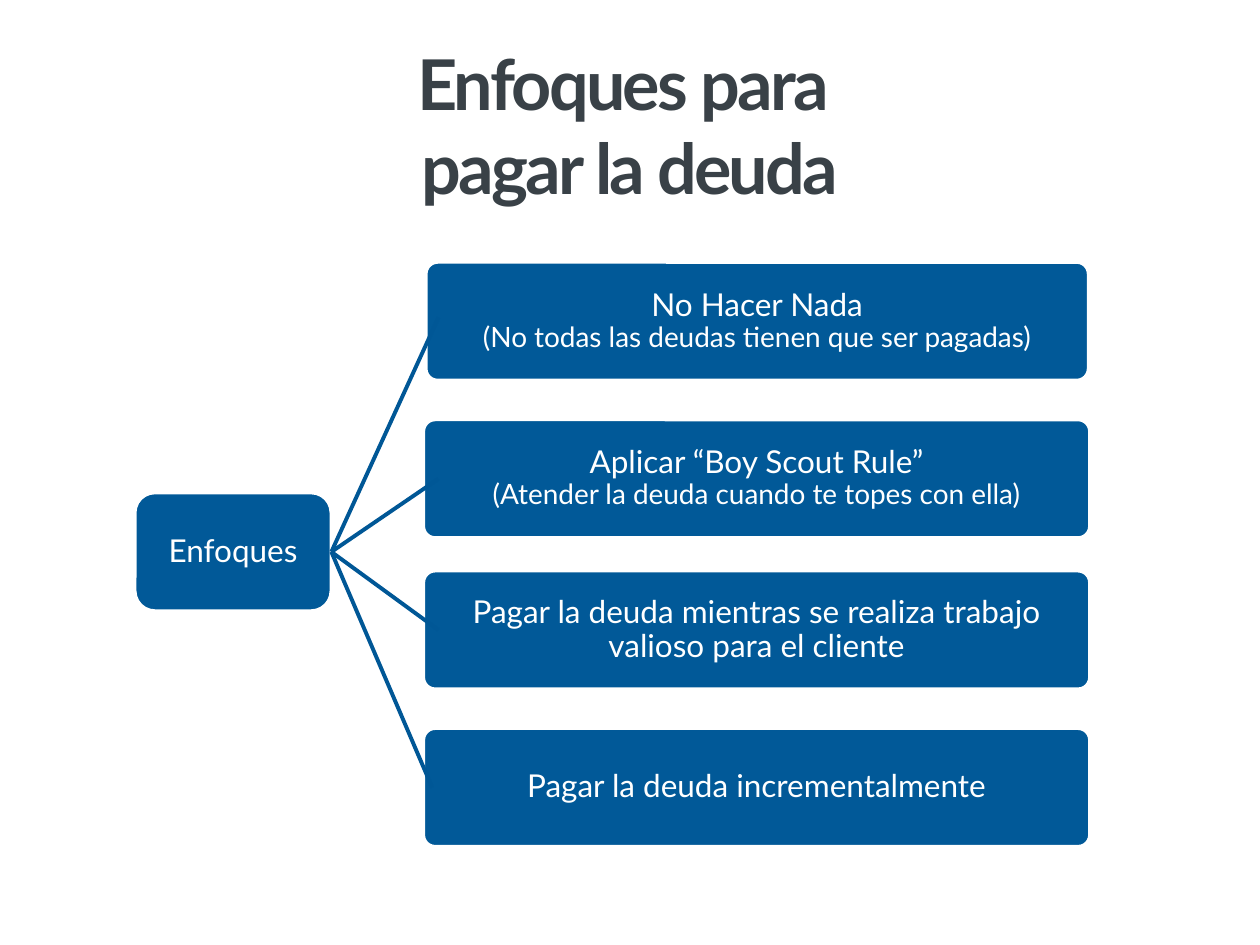
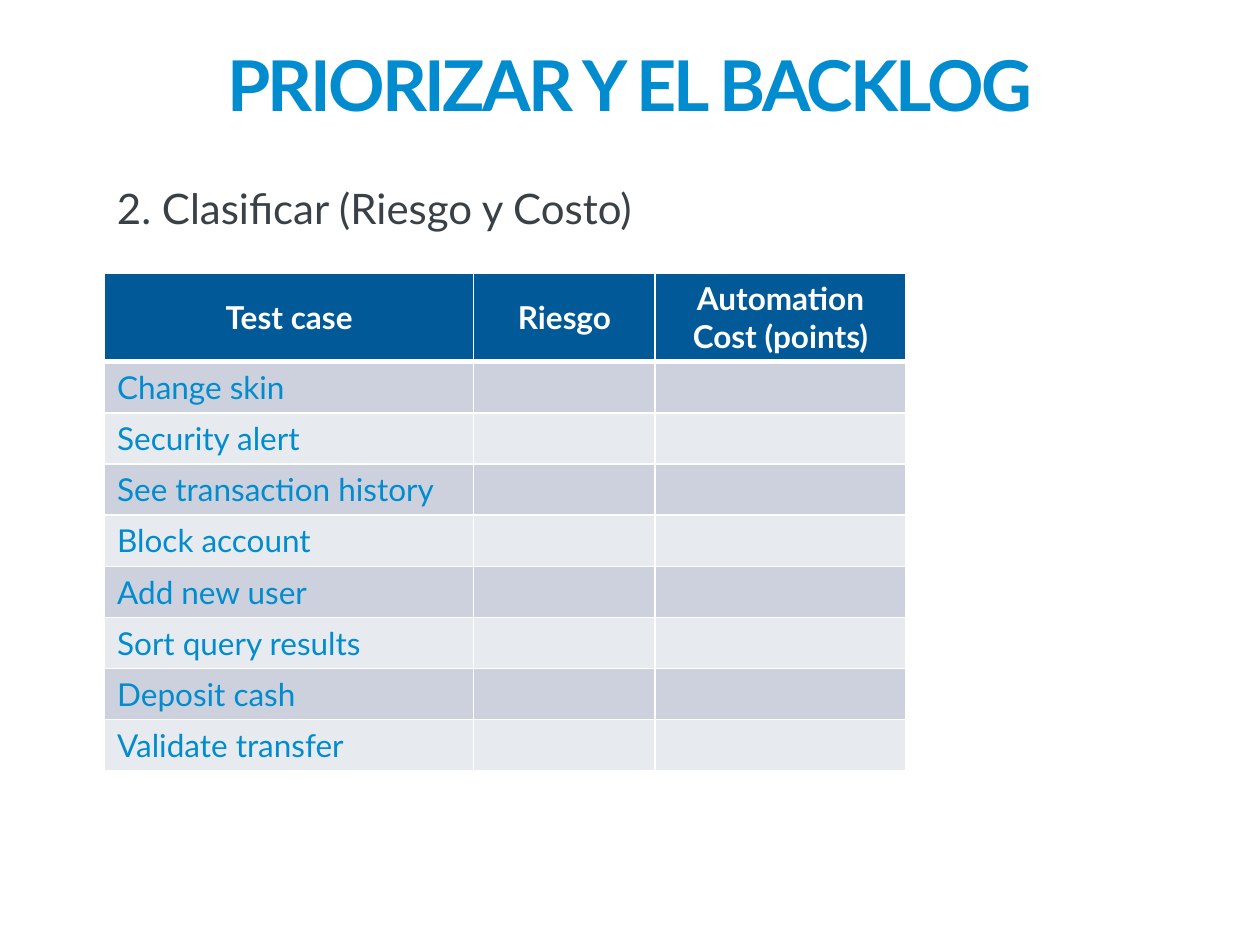
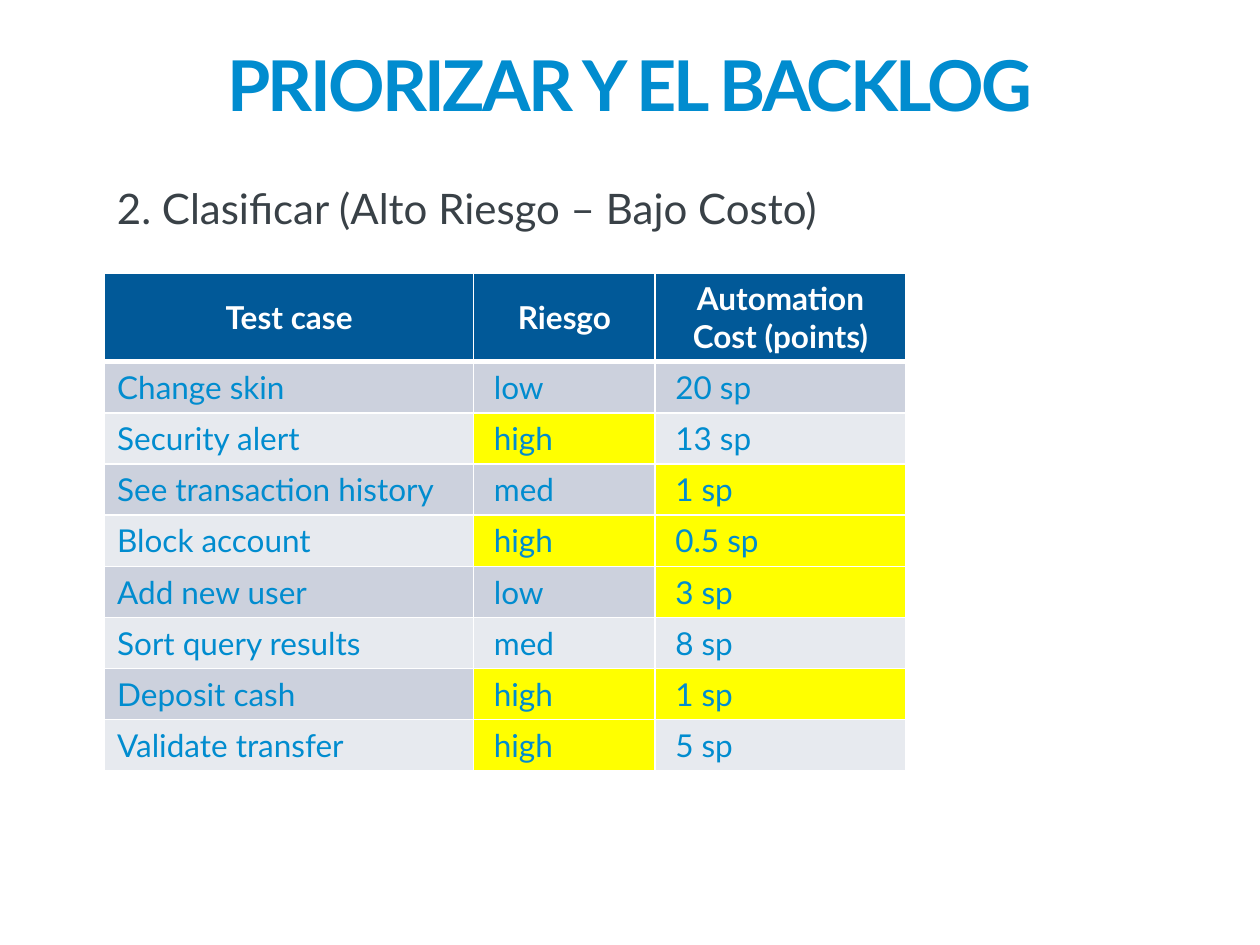
"""Build three slides on paying technical debt and ranking a test backlog."""
from lxml.etree import SubElement
from pptx import Presentation
from pptx.dml.color import RGBColor
from pptx.enum.shapes import MSO_CONNECTOR as Connector, MSO_SHAPE as Shape
from pptx.enum.text import MSO_ANCHOR as Anchor, PP_ALIGN as Align
from pptx.oxml import parse_xml
from pptx.oxml.ns import nsdecls, qn
from pptx.util import Inches, Pt

WHITE = RGBColor(0xFF, 0xFF, 0xFF)
NAVY = RGBColor(0x01, 0x59, 0x98)
LINK_BLUE = RGBColor(0x00, 0x57, 0x96)
SKY = RGBColor(0x01, 0x8C, 0xCF)
SLATE = RGBColor(0x39, 0x41, 0x47)
BANDS = (RGBColor(0xE7, 0xEA, 0xEF), RGBColor(0xCC, 0xD1, 0xDD))
YELLOW = RGBColor(0xFF, 0xFF, 0x00)

TITLE = {"size": Pt(40), "bold": True}
SUBTITLE = {"size": Pt(24)}
LABEL = {"size": Pt(18)}
DETAIL = {"size": Pt(16)}
HEADER = {"size": Pt(18), "bold": True}
BODY = {"size": Pt(18), "bold": False}

APPROACHES = [
    (3.38, 2.08, 5.26, [("No Hacer Nada", LABEL),
                        ("(No todas las deudas tienen que ser pagadas)", DETAIL)], (3.48, 2.52)),
    (3.36, 3.33, 5.29, [("Aplicar “Boy Scout Rule”", LABEL),
                        ("(Atender la deuda cuando te topes con ella)", DETAIL)], (3.48, 3.8)),
    (3.36, 4.53, 5.29, [("Pagar la deuda mientras se realiza trabajo valioso para el cliente",
                         LABEL)], (3.48, 5)),
    (3.36, 5.78, 5.29, [("Pagar la deuda incrementalmente", LABEL)], (3.43, 6.25)),
]
HEADINGS = ("Test case", "Riesgo", "Automation Cost (points)")
BACKLOG = [
    ("Change skin", "low", "20 sp"),
    ("Security alert", "high", "13 sp"),
    ("See transaction history", "med", "1 sp"),
    ("Block account", "high", "0.5 sp"),
    ("Add new user", "low", "3 sp"),
    ("Sort query results", "med", "8 sp"),
    ("Deposit cash", "high", "1 sp"),
    ("Validate transfer", "high", "5 sp"),
]
COLUMN_WIDTHS = (2.93, 1.44, 1.99)
MAX_LOW_COST = 3


def is_priority(column, text):
    """Tell whether a cell holds a high risk or a low cost."""
    if not text or column == 0:
        return False
    return text == "high" if column == 1 else float(text.split()[0]) <= MAX_LOW_COST


class Deck:
    """Hold the style and the current page, and draw each kind of element."""

    def __init__(self, width, height, font_name):
        self.deck = Presentation()
        self.deck.slide_width, self.deck.slide_height = Inches(width), Inches(height)
        self.font_name = font_name
        self.page = None

    def new_page(self):
        """Start a page on the blank layout."""
        self.page = self.deck.slides.add_slide(self.deck.slide_layouts[6])

    def fill_text(self, frame, lines, color, align=Align.LEFT, spacing=None, tracking=None):
        """Fill a frame with one paragraph of formatted, broken lines."""
        para = frame.paragraphs[0]
        para.alignment = align
        para.line_spacing = spacing
        for number, (text, look) in enumerate(lines):
            if number:
                para.add_line_break()
            span = para.add_run()
            span.text = text
            span.font.color.rgb = color
            for name, value in {"name": self.font_name, **look}.items():
                setattr(span.font, name, value)
            if tracking:
                span.font._element.set("spc", str(tracking))

    def text(self, left, top, width, height, lines, color, anchor=Anchor.TOP, **style):
        """Add a wrapped text box."""
        box = self.page.shapes.add_textbox(*map(Inches, (left, top, width, height)))
        box.text_frame.word_wrap = True
        box.text_frame.vertical_anchor = anchor
        self.fill_text(box.text_frame, lines, color, **style)

    def title(self, top, height, lines, color):
        """Add the centred, tightly spaced page title."""
        self.text(0.5, top, 9, height, [(line, TITLE) for line in lines], color,
                  anchor=Anchor.MIDDLE, align=Align.CENTER, tracking=-150)

    def node(self, left, top, width, height, lines, rounding, margin):
        """Add a rounded diagram box with a centred label."""
        box = self.page.shapes.add_shape(
            Shape.ROUNDED_RECTANGLE, *map(Inches, (left, top, width, height)))
        box.shadow.inherit = False
        box.adjustments[0] = rounding
        box.fill.solid()
        box.fill.fore_color.rgb = NAVY
        box.line.color.rgb = WHITE
        box.line.width = Pt(2)
        frame = box.text_frame
        frame_format = {"word_wrap": True, "vertical_anchor": Anchor.MIDDLE,
                        "margin_left": Inches(margin), "margin_right": Inches(margin)}
        for name, value in frame_format.items():
            setattr(frame, name, value)
        self.fill_text(frame, lines, WHITE, align=Align.CENTER, spacing=0.9)
        return box

    def branch(self, root, end):
        """Draw a line from the right side of the root to a point."""
        line = self.page.shapes.add_connector(Connector.STRAIGHT, 0, 0, *map(Inches, end))
        line.begin_connect(root, 3)
        line.line.color.rgb = LINK_BLUE
        line.line.width = Pt(2.25)
        SubElement(line._element.spPr, qn("a:effectLst"))

    def cell(self, cell, text, fill, look, color, align, borders):
        """Fill, border and letter one table cell."""
        cell.fill.solid()
        cell.fill.fore_color.rgb = fill
        cell.vertical_anchor = Anchor.MIDDLE
        properties = cell._tc.get_or_add_tcPr()
        for index, (side, points) in enumerate(borders.items()):
            properties.insert(index, parse_xml(
                f'<a:ln{side} {nsdecls("a")} w="{Pt(points)}"><a:solidFill>'
                f'<a:srgbClr val="{WHITE}"/></a:solidFill></a:ln{side}>'))
        if text:
            self.fill_text(cell.text_frame, [(text, look)], color, align=align)

    def table(self, left, top, headings, rows):
        """Add the banded backlog table with its priorities highlighted."""
        header_height, body_height = Inches(0.69), Inches(3.25) // len(rows)
        table = self.page.shapes.add_table(
            len(rows) + 1, len(headings), Inches(left), Inches(top),
            Inches(sum(COLUMN_WIDTHS)), header_height + body_height * len(rows)).table
        for column, width in zip(table.columns, COLUMN_WIDTHS):
            column.width = Inches(width)
        for row in table.rows:
            row.height = body_height
        table.rows[0].height = header_height
        for column, heading in enumerate(headings):
            self.cell(table.cell(0, column), heading, NAVY, HEADER, WHITE, Align.CENTER,
                      {"L": 1, "R": 1, "T": 1, "B": 3})
        for number, row in enumerate(rows, 1):
            for column, text in enumerate(row):
                cell = table.cell(number, column)
                fill = YELLOW if is_priority(column, text) else BANDS[number % 2]
                cell.margin_left = Inches(0.16 if column else 0.1)
                self.cell(cell, text, fill, BODY, SKY, Align.LEFT, {"L": 1, "R": 1, "B": 1})

    def approaches_page(self):
        """Draw the tree of approaches."""
        self.new_page()
        self.title(0.31, 1.36, ("Enfoques para ", "pagar la deuda"), SLATE)
        root = self.node(1.07, 3.91, 1.56, 0.94, [("Enfoques", LABEL)], 0.17, 0.02)
        for left, top, width, lines, _ in APPROACHES:
            self.node(left, top, width, 0.94, lines, 0.1, 0.12)
        for *_, end in APPROACHES:
            self.branch(root, end)

    def backlog_page(self, subtitle, width, rows):
        """Draw the backlog table under its title and subtitle."""
        self.new_page()
        self.table(0.83, 2.17, HEADINGS, rows)
        self.title(0.33, 0.67, ("PRIORIZAR Y EL BACKLOG",), SKY)
        self.text(0.83, 1.4, width, 0.5, [(subtitle, SUBTITLE)], SLATE)


def main():
    """Build and save the deck."""
    deck = Deck(10, 7.5, "Lato")
    deck.approaches_page()
    deck.backlog_page("2. Clasificar (Riesgo y Costo)", 4.75,
                      [(case, "", "") for case, *_ in BACKLOG])
    deck.backlog_page("2. Clasificar (Alto Riesgo – Bajo Costo)", 6.29, BACKLOG)
    deck.deck.save("out.pptx")


if __name__ == "__main__":
    main()
